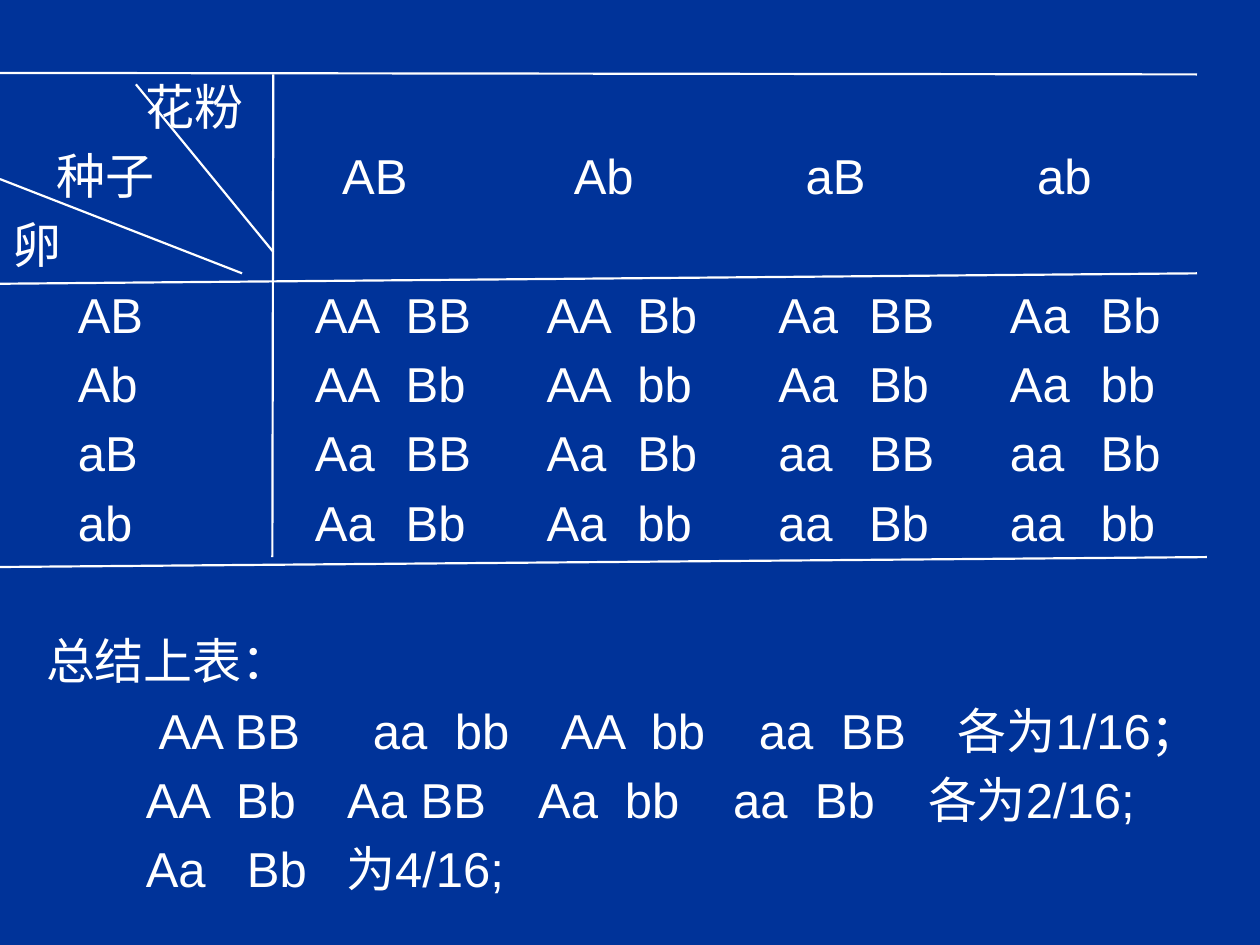
import pptx
import pptx.dml.color
import pptx.enum.shapes
import pptx.enum.text
import pptx.oxml.ns
import pptx.util
from lxml import etree

Cm = pptx.util.Cm
Pt = pptx.util.Pt

COLORS = {"back": "003399", "ink": "FFFFFF"}
FONT = "Arial"
SIZE, LEAD, GAP = 28, 33.6, 6  # points
LABEL = 1.57
STARTS = [6.35 + 4.67 * i for i in range(4)]
HEADS = [x + 0.55 for x in STARTS]
PAIRS = [x + step for x in STARTS for step in (0, 1.83)]

# Each row: words, and the tab stop in cm at which each one begins
ROWS = [
    (["花粉"], [2.94]),
    (["种子", "AB", "Ab", "aB", "ab"], [1.14] + HEADS),
    (["卵"], [0.26]),
]
CROSS = [
    "AB AA BB AA Bb Aa BB Aa Bb",
    "Ab AA Bb AA bb Aa Bb Aa bb",
    "aB Aa BB Aa Bb aa BB aa Bb",
    "ab Aa Bb Aa bb aa Bb aa bb",
]
ROWS += [(row.split(), [LABEL] + PAIRS) for row in CROSS]
SUMMARY = [
    (["总结上表："], [0.93]),
    (["AA BB", "aa", "bb", "AA", "bb", "aa", "BB", "各为1/16；"],
     [3.2, 7.52, 9.17, 11.31, 13.12, 15.3, 16.95, 19.31]),
    (["AA", "Bb", "Aa BB", "Aa", "bb", "aa", "Bb", "各为2/16;"],
     [2.94, 4.76, 7, 10.85, 12.6, 14.78, 16.43, 18.71]),
    (["Aa", "Bb", "为4/16;"], [2.94, 4.98, 6.98]),
]

# Start x, start y, end x, end y in cm
RULES = [
    (0, 1.47, 24.13, 1.5),
    (0, 5.72, 24.13, 5.51),
    (0, 11.43, 24.33, 11.23),
    (5.51, 1.5, 5.49, 11.23),
    (2.74, 1.7, 5.51, 5.08),
    (0, 3.61, 4.88, 5.51),
]


def color(name):
    return pptx.dml.color.RGBColor.from_string(COLORS[name])


def add_tabs(para, stops):
    qn = pptx.oxml.ns.qn
    tabs = etree.SubElement(para._p.get_or_add_pPr(), qn("a:tabLst"))
    for stop in stops:
        etree.SubElement(tabs, qn("a:tab"), pos=str(int(Cm(stop))), algn="l")


def add_row(para, words, stops, before):
    """Write one line with each word at its own tab stop."""
    add_tabs(para, stops)
    para.text = "".join("\t" + word for word in words)
    para.line_spacing = Pt(LEAD)
    para.space_before = Pt(before)
    for run in para.runs:
        run.font.name = FONT
        run.font.size = Pt(SIZE)
        run.font.color.rgb = color("ink")


def add_text(slide, deck):
    box = slide.shapes.add_textbox(0, 0, deck.slide_width, deck.slide_height)
    frame = box.text_frame
    frame.word_wrap = True
    frame.vertical_anchor = pptx.enum.text.MSO_ANCHOR.TOP
    frame.margin_left = frame.margin_right = frame.margin_bottom = 0
    frame.margin_top = Cm(1.54)
    for i, (words, stops) in enumerate(ROWS + SUMMARY):
        para = frame.add_paragraph() if i else frame.paragraphs[0]
        before = GAP if i else 0
        if i == len(ROWS):
            before = LEAD + 2 * GAP
        add_row(para, words, stops, before)


def add_rule(slide, ends):
    kind = pptx.enum.shapes.MSO_CONNECTOR.STRAIGHT
    rule = slide.shapes.add_connector(kind, *map(Cm, ends))
    rule.line.color.rgb = color("ink")
    rule.line.width = Pt(1.25)
    etree.SubElement(rule._element.spPr, pptx.oxml.ns.qn("a:effectLst"))


def main():
    deck = pptx.Presentation()
    deck.slide_width, deck.slide_height = Cm(25.4), Cm(19.05)
    slide = deck.slides.add_slide(deck.slide_layouts[6])
    slide.background.fill.solid()
    slide.background.fill.fore_color.rgb = color("back")
    add_text(slide, deck)
    for ends in RULES:
        add_rule(slide, ends)
    deck.save("out.pptx")


if __name__ == "__main__":
    main()
